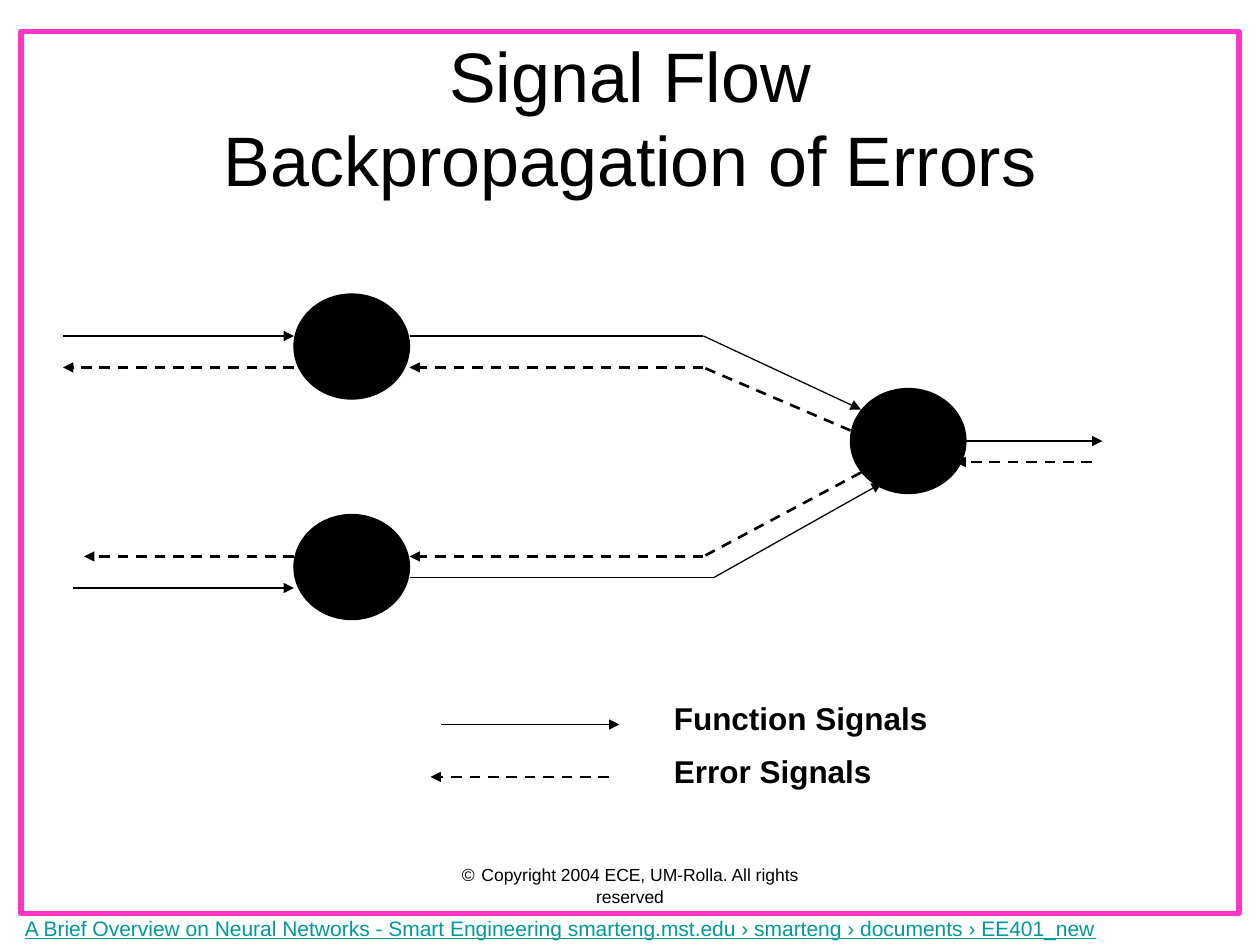
from itertools import pairwise

from lxml import etree
from pptx import Presentation
from pptx.dml.color import RGBColor
from pptx.enum.dml import MSO_LINE
from pptx.enum.shapes import MSO_CONNECTOR, MSO_SHAPE
from pptx.enum.text import MSO_ANCHOR, PP_ALIGN
from pptx.oxml.ns import qn
from pptx.util import Inches, Pt

STRAIGHT = MSO_CONNECTOR.STRAIGHT
OVAL = MSO_SHAPE.OVAL
RECTANGLE = MSO_SHAPE.RECTANGLE
DASH = MSO_LINE.DASH
SOLID = MSO_LINE.SOLID
CENTER = PP_ALIGN.CENTER
LEFT = PP_ALIGN.LEFT
MIDDLE = MSO_ANCHOR.MIDDLE
TOP = MSO_ANCHOR.TOP

SLIDE_WIDTH, SLIDE_HEIGHT = Inches(10), Inches(7.5)
COLUMNS, ROWS = 120, 90
COLORS = {"ink": "000000", "frame": "FF33CC", "source": "009999"}

SIGNAL_STYLES = {
    "function": {"width": Pt(0.75), "dash_style": SOLID},
    "error": {"width": Pt(1.5), "dash_style": DASH},
}
NEURONS = [(28, 28), (81, 37), (28, 49)]
ROUTES = {
    "function": [
        [(6, 32), (28, 32)],
        [(7, 56), (28, 56)],
        [(39, 32), (67, 32), (82, 39)],
        [(39, 55), (68, 55), (84, 46)],
        [(92, 42), (105, 42)],
        [(42, 69), (59, 69)],
    ],
    "error": [
        [(82, 45), (67, 53), (39, 53)],
        [(81, 41), (67, 35), (39, 35)],
        [(104, 44), (91, 44)],
        [(28, 35), (6, 35)],
        [(28, 53), (8, 53)],
        [(58, 74), (41, 74)],
    ],
}


def color(name):
    return RGBColor.from_string(COLORS[name])


def across(column):
    return round(SLIDE_WIDTH * column / COLUMNS)


def down(row):
    return round(SLIDE_HEIGHT * row / ROWS)


def area(column, row, columns, rows):
    return across(column), down(row), across(columns), down(rows)


def add_outlined(slide, kind, cells, line_color, line_width, fill=None):
    outlined = slide.shapes.add_shape(kind, *area(*cells))
    outlined.shadow.inherit = False
    outlined.line.color.rgb = color(line_color)
    outlined.line.width = Pt(line_width)
    if fill:
        outlined.fill.solid()
        outlined.fill.fore_color.rgb = color(fill)
    else:
        outlined.fill.background()


def add_route(slide, stops, style):
    for start, end in pairwise(stops):
        leg = slide.shapes.add_connector(
            STRAIGHT, across(start[0]), down(start[1]), across(end[0]), down(end[1])
        )
        leg.line.color.rgb = color("ink")
        for attribute, value in style.items():
            setattr(leg.line, attribute, value)
        properties = leg.element.spPr
        etree.SubElement(properties, qn("a:effectLst"))
        if end == stops[-1]:
            outline = properties.find(qn("a:ln"))
            etree.SubElement(outline, qn("a:tailEnd"), type="triangle")


def add_label(slide, cells, runs, align=LEFT, anchor=TOP, ink="ink", **font_format):
    label = slide.shapes.add_textbox(*area(*cells))
    frame = label.text_frame
    frame.word_wrap = True
    frame.vertical_anchor = anchor
    paragraph = frame.paragraphs[0]
    paragraph.alignment = align
    for words, size in runs:
        run = paragraph.add_run()
        run.text = words
        run.font.color.rgb = color(ink)
        for attribute, value in {"name": "Arial", "size": Pt(size), **font_format}.items():
            setattr(run.font, attribute, value)
    return paragraph


def add_title(slide, first_line, second_line):
    title = add_label(slide, (6, 3.6, 108, 15), [(first_line, 40)], CENTER, MIDDLE)
    title.add_line_break()
    continuation = title.add_run()
    continuation.text = second_line
    continuation.font.color.rgb = color("ink")
    for attribute, value in {"name": "Arial", "size": Pt(40)}.items():
        setattr(continuation.font, attribute, value)


def main():
    deck = Presentation()
    deck.slide_width, deck.slide_height = SLIDE_WIDTH, SLIDE_HEIGHT
    slide = deck.slides.add_slide(deck.slide_layouts[6])

    add_outlined(slide, RECTANGLE, (2, 3, 116, 84), "frame", 3)
    copyright_runs = [
        ("©", 10),
        (" ", 14),
        ("Copyright 2004 ECE, UM-Rolla. All rights reserved", 10),
    ]
    add_label(slide, (41, 81, 38, 6.2), copyright_runs, CENTER)
    add_title(slide, "Signal Flow", "Backpropagation of Errors")

    for column, row in NEURONS:
        add_outlined(slide, OVAL, (column, row, 11, 10), "ink", 0.75, "ink")
    for signal, routes in ROUTES.items():
        for stops in routes:
            add_route(slide, stops, SIGNAL_STYLES[signal])

    for row, meaning in ((66, "Function Signals"), (71, "Error Signals")):
        add_label(slide, (63, row, 31, 4.8), [(meaning, 18)], bold=True)
    source = (
        "A Brief Overview on Neural Networks - Smart Engineering "
        "smarteng.mst.edu › smarteng › documents › EE401_new"
    )
    add_label(
        slide, (1.2, 86.6, 110.4, 3.4), [(source, 12)], ink="source", underline=True
    )

    deck.save("out.pptx")


if __name__ == "__main__":
    main()
